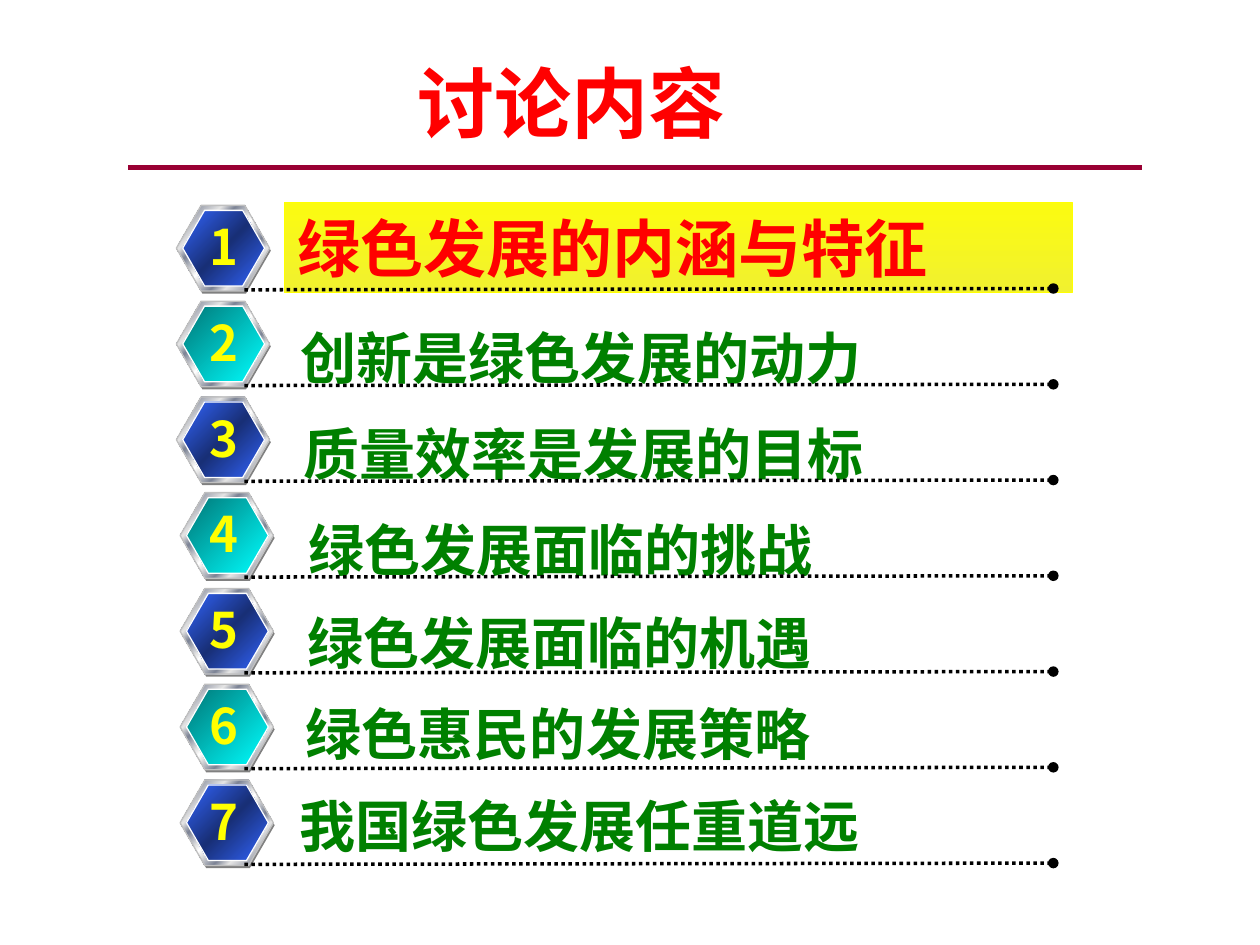
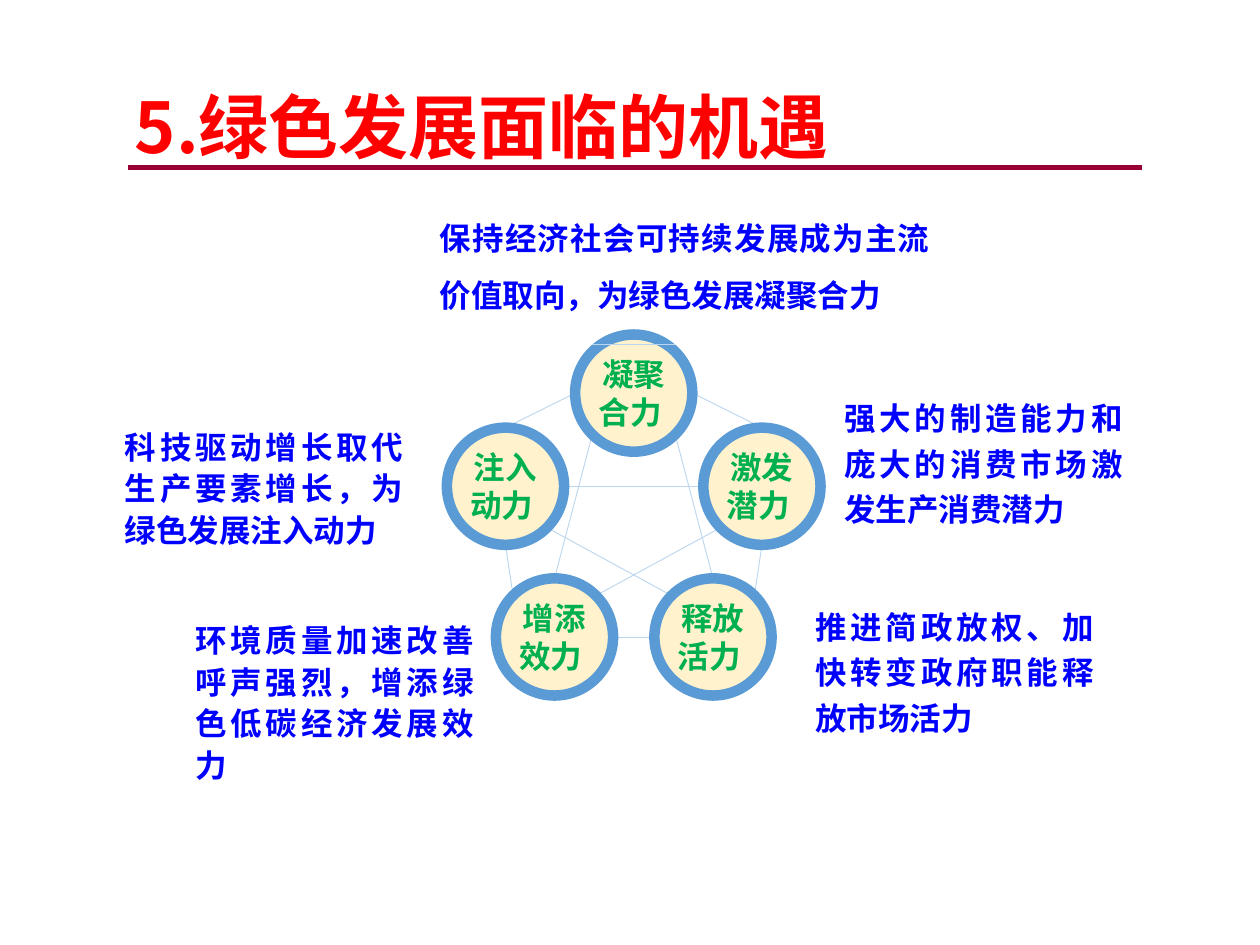
from math import cos, radians, sin

from lxml.etree import SubElement
from pptx import Presentation
from pptx.dml.color import RGBColor
from pptx.enum.dml import MSO_LINE
from pptx.enum.shapes import MSO_CONNECTOR, MSO_SHAPE
from pptx.enum.text import MSO_ANCHOR, MSO_AUTO_SIZE, PP_ALIGN
from pptx.oxml.ns import qn
from pptx.util import Inches, Pt

HAN_FONT = "Noto Sans CJK SC"
RED, GREEN, BLUE, YELLOW = "FF0000", "008000", "0000FF", "FFFF00"
MAROON, BLACK, WHITE, PALE_BLUE = "990033", "000000", "FFFFFF", "BBD6EE"

AGENDA_TITLE = "讨论内容 "
HIGHLIGHT = "绿色发展的内涵与特征"
TOPICS = [
    ("创新是绿色发展的动力", 2.29, 2.52),
    ("质量效率是发展的目标", 2.31, 3.28),
    ("绿色发展面临的挑战", 2.35, 4.04),
    ("绿色发展面临的机遇", 2.34, 4.78),
    ("绿色惠民的发展策略", 2.33, 5.5),
    ("我国绿色发展任重道远", 2.28, 6.23),
]
HIGHLIGHT_STOPS = [(0, "FBFB11"), (100, "F1F12F")]
METAL_STOPS = [
    (0, "E6E6E6"), (8, "7D8496"), (26, "E6E6E6"), (34, "7D8496"),
    (46, "E6E6E6"), (50, "FFFFFF"), (54, "E6E6E6"), (66, "7D8496"),
    (74, "E6E6E6"), (92, "7D8496"), (100, "E6E6E6"),
]
BADGE_STOPS = [
    [(0, "3366FF"), (50, "182F76"), (100, "3366FF")],
    [(0, "007676"), (100, "00FFFF")],
]
ROW_TOP, ROW_PITCH = 1.63, 0.76

CHANCES_TITLE = "5.绿色发展面临的机遇"
FORCES = ["凝聚合力 ", "激发潜力 ", "释放活力 ", "增添效力 ", "注入动力 "]
TOP, RIGHT, LOW_RIGHT, LOW_LEFT, LEFT = range(5)
E, SE, S, SW, W, NW, N, NE = range(0, 360, 45)
LINKS = [
    (TOP, SW, LOW_LEFT, N), (TOP, SE, LOW_RIGHT, N),
    (TOP, E, RIGHT, N), (TOP, W, LEFT, N),
    (LEFT, E, RIGHT, W), (LEFT, SE, LOW_RIGHT, NW),
    (LEFT, S, LOW_LEFT, NW), (RIGHT, S, LOW_RIGHT, NE),
    (RIGHT, SW, LOW_LEFT, NE), (LOW_RIGHT, W, LOW_LEFT, E),
]
PENTAGON_CENTER, PENTAGON_RADIUS, CIRCLE_RADIUS = (5.03, 4.19), 1.07, 0.465
REASONS = [
    ("强大的制造能力和庞大的消费市场激发生产消费潜力", (6.63, 3.21, 2.35, 0.88), 1.2),
    ("推进简政放权、加快转变政府职能释放市场活力", (6.4, 4.77, 2.35, 1.07), 1.2),
    ("环境质量加速改善呼声强烈，增添绿色低碳经济发展效力", (1.48, 5.12, 2.35, 0.88), 1.1),
    ("保持经济社会可持续发展成为主流价值取向，为绿色发展凝聚合力", (3.42, 1.6, 4.03, 0.88), 1.5),
    ("科技驱动增长取代生产要素增长，为绿色发展注入动力", (0.92, 3.42, 2.35, 0.88), 1.1),
]


def rgb(color):
    return RGBColor.from_string(color)


def box(values):
    return [Inches(value) for value in values]


def write(shape, text, size, color, font=HAN_FONT, align=PP_ALIGN.LEFT,
          anchor=MSO_ANCHOR.TOP, insets=(0.1, 0.05), spacing=None, wrap=True):
    frame = shape.text_frame
    frame.word_wrap = wrap
    frame.auto_size = MSO_AUTO_SIZE.NONE
    frame.vertical_anchor = anchor
    frame.margin_left = frame.margin_right = Inches(insets[0])
    frame.margin_top = frame.margin_bottom = Inches(insets[1])
    paragraph = frame.paragraphs[0]
    paragraph.alignment = align
    if spacing:
        paragraph.line_spacing = spacing
    run = paragraph.add_run()
    run.text = text
    run.font.size = Pt(size)
    run.font.bold = True
    run.font.color.rgb = rgb(color)
    run.font.name = font
    SubElement(run.font._element, qn("a:ea")).set("typeface", HAN_FONT)


def add_text(slide, text, place, size, color, **style):
    write(slide.shapes.add_textbox(*box(place)), text, size, color, **style)


def paint(shape, stops, angle):
    shape.fill.gradient()
    shape.fill.gradient_angle = 360 - angle
    stop_list = next(shape._element.spPr.iter(qn("a:gsLst")))
    for old_stop in list(stop_list):
        stop_list.remove(old_stop)
    for position, color in stops:
        stop = SubElement(stop_list, qn("a:gs"), pos=str(position * 1000))
        SubElement(stop, qn("a:srgbClr"), val=color)


def add_shape(slide, kind, place, fill, line=None, width=0.75, angle=45):
    shape = slide.shapes.add_shape(kind, *box(place))
    shape.shadow.inherit = False
    if isinstance(fill, str):
        shape.fill.solid()
        shape.fill.fore_color.rgb = rgb(fill)
    else:
        paint(shape, fill, angle)
    if line:
        shape.line.color.rgb = rgb(line)
        shape.line.width = Pt(width)
    else:
        shape.line.fill.background()
    return shape


def add_line(slide, start, end, color, width, dotted=False):
    connector = slide.shapes.add_connector(MSO_CONNECTOR.STRAIGHT, *box(start + end))
    connector.line.color.rgb = rgb(color)
    connector.line.width = Pt(width)
    if dotted:
        connector.line.dash_style = MSO_LINE.ROUND_DOT
        SubElement(connector.line._get_or_add_ln(), qn("a:tailEnd"), type="oval")
    SubElement(connector._element.spPr, qn("a:effectLst"))


def start_slide(deck, title, place, size, align):
    slide = deck.slides.add_slide(deck.slide_layouts[5])
    heading = slide.shapes.title
    heading.left, heading.top, heading.width, heading.height = box(place)
    write(heading, title, size, RED, align=align)
    add_line(slide, (1.02, 1.33), (9.06, 1.33), MAROON, 3)
    return slide


def add_badge(slide, index):
    left = 1.4 if index < 3 else 1.43
    top = ROW_TOP + index * ROW_PITCH
    layers = [
        ((left + 0.01, top + 0.02, 0.74, 0.68), "808080", None),
        ((left, top, 0.74, 0.68), METAL_STOPS, "C0C0C0"),
        ((left + 0.05, top + 0.04, 0.65, 0.6), BADGE_STOPS[index % 2], WHITE),
    ]
    for place, fill, line in layers:
        hexagon = add_shape(slide, MSO_SHAPE.HEXAGON, place, fill, line)
        hexagon.adjustments[0] = 0.289
    add_text(slide, str(index + 1), (1.58, top + 0.04, 0.4, 0.57), 28, YELLOW,
             align=PP_ALIGN.CENTER, wrap=False)


def build_agenda(deck):
    slide = start_slide(deck, AGENDA_TITLE, (0.11, 0.39, 9, 1.25), 44, PP_ALIGN.CENTER)
    band = add_shape(slide, MSO_SHAPE.RECTANGLE, (2.26, 1.61, 6.25, 0.71),
                     HIGHLIGHT_STOPS, YELLOW, angle=90)
    write(band, HIGHLIGHT, 36, RED)
    for topic, left, top in TOPICS:
        add_text(slide, topic, (left, top, 5.1, 0.64), 32, GREEN)
    for index in range(len(TOPICS) + 1):
        add_badge(slide, index)
        leader = ROW_TOP + 0.67 + index * ROW_PITCH
        add_line(slide, (1.94, leader), (8.36, leader - 0.01), BLACK, 2, dotted=True)


def around(center, radius, degrees):
    angle = radians(degrees)
    return center[0] + radius * cos(angle), center[1] + radius * sin(angle)


def build_chances(deck):
    slide = start_slide(deck, CHANCES_TITLE, (0.97, 0.61, 8.11, 0.77), 40, PP_ALIGN.LEFT)
    centers = [around(PENTAGON_CENTER, PENTAGON_RADIUS, 72 * index - 90)
               for index in range(len(FORCES))]
    for source, leaving, target, entering in LINKS:
        add_line(slide, around(centers[source], CIRCLE_RADIUS, leaving),
                 around(centers[target], CIRCLE_RADIUS, entering), PALE_BLUE, 0.5)
    for force, (x, y) in zip(FORCES, centers):
        place = (x - CIRCLE_RADIUS, y - CIRCLE_RADIUS, 2 * CIRCLE_RADIUS, 2 * CIRCLE_RADIUS)
        circle = add_shape(slide, MSO_SHAPE.OVAL, place, "FFF2CC", "5B9BD5", 6)
        write(circle, force, 18, "00B050", font="Arial", align=PP_ALIGN.CENTER,
              anchor=MSO_ANCHOR.MIDDLE, insets=(0, 0))
    for reason, place, spacing in REASONS:
        add_text(slide, reason, place, 18, BLUE, font="Calibri", align=PP_ALIGN.JUSTIFY,
                 anchor=MSO_ANCHOR.MIDDLE, insets=(0.07, 0), spacing=spacing)
    add_line(slide, (4.7, 2.73), (5.36, 2.73), PALE_BLUE, 0.25)


def main():
    deck = Presentation()
    deck.slide_width, deck.slide_height = Inches(10), Inches(7.5)
    build_agenda(deck)
    build_chances(deck)
    deck.save("out.pptx")


if __name__ == "__main__":
    main()
